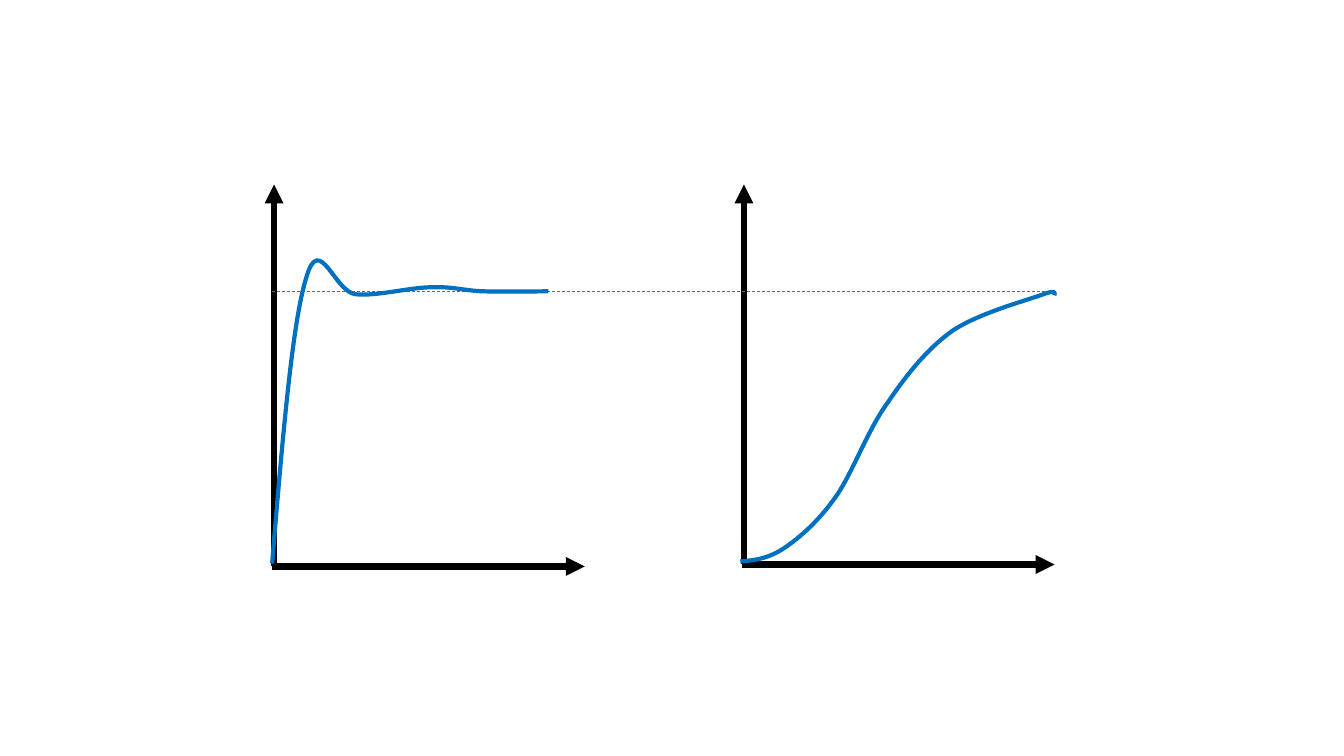
"""Build a slide with two step-response sketches sharing one target level."""
from lxml.etree import SubElement
from pptx import Presentation
from pptx.dml.color import RGBColor
from pptx.enum.dml import MSO_LINE
from pptx.enum.shapes import MSO_CONNECTOR, MSO_SHAPE
from pptx.oxml.ns import qn
from pptx.util import Pt

COLORS = {"panel": "FFFFFF", "axis": "000000", "target": "666666", "curve": "0070C0"}
LINE_FORMATS = {
    "panel": {"width": Pt(1)},
    "axis": {"width": Pt(4.5)},
    "target": {"width": Pt(0.5), "dash_style": MSO_LINE.DASH},
    "curve": {"width": Pt(3)},
}
TARGET_LEVEL = 208.1
AXIS_TOP = 131.8
AXIS_LENGTH = 223.5
AXIS_OVERLAP = 1.6
ORIGINS = [(195.8, 404.6), (531.4, 403.2)]

UNDERDAMPED = {
    "corners": [(194.4, 185.8), (391.7, 402.5)],
    "start": (194.4, 402.5),
    "segments": [
        [(201.6, 316.1), (208.8, 229.7), (218.9, 198)],
        [(228.2, 165.6), (239, 208.8), (254.2, 210.2)],
        [(269.3, 211.7), (293, 205.2), (308.2, 205.2)],
        [(323.3, 204.5), (332.6, 207.8), (345.6, 208.1)],
        [(359.3, 208.4), (389.5, 208.1), (389.5, 208.1)],
        [(391.7, 208.1)],
    ],
}
OVERDAMPED = {
    "corners": [(528.8, 208.1), (753.1, 401)],
    "start": (528.8, 401),
    "segments": [
        [(539.3, 400.3), (549.4, 398.9), (560.9, 391)],
        [(572.4, 383), (584.6, 372.2), (596.9, 355)],
        [(609.1, 337.7), (619.9, 306.7), (634.3, 287.3)],
        [(648, 267.1), (662.4, 249.1), (680.4, 236.2)],
        [(699.1, 223.9), (730.8, 215.3), (743, 211)],
        [(754.6, 206.6), (753.8, 208.8), (753.1, 211)],
    ],
}


def format_line(shape, role):
    """Colour and style the line of a shape and return its XML element."""
    shape.line.fill.solid()
    shape.line.fill.fore_color.rgb = RGBColor.from_string(COLORS[role])
    for name, value in LINE_FORMATS[role].items():
        setattr(shape.line, name, value)
    return shape._element.spPr.find(qn("a:ln"))


def add_panel(slide, left, top, width, height):
    """Add the plain panel behind both charts."""
    shape = slide.shapes.add_shape(
        MSO_SHAPE.RECTANGLE, Pt(left), Pt(top), Pt(width), Pt(height))
    shape.shadow.inherit = False
    shape.fill.solid()
    shape.fill.fore_color.rgb = RGBColor.from_string(COLORS["panel"])
    format_line(shape, "panel")


def add_line(slide, role, start, end, arrow=False):
    """Add a straight line, with an arrowhead at its end if wanted."""
    connector = slide.shapes.add_connector(
        MSO_CONNECTOR.STRAIGHT, *[Pt(value) for value in (*start, *end)])
    line = format_line(connector, role)
    if arrow:
        SubElement(line, qn("a:tailEnd"), type="triangle")
    SubElement(connector._element.spPr, qn("a:effectLst"))


def add_axes(slide, x, y):
    """Add a vertical and a horizontal arrow from one origin."""
    add_line(slide, "axis", (x, y), (x, AXIS_TOP), arrow=True)
    left = x - AXIS_OVERLAP
    add_line(slide, "axis", (left, y), (left + AXIS_LENGTH, y), arrow=True)


def add_curve(slide, corners, start, segments):
    """Add an open curve of cubic and straight segments within its box."""
    (left, top), (right, bottom) = corners
    builder = slide.shapes.build_freeform(Pt(left), Pt(top))
    builder.add_line_segments([(Pt(right), Pt(bottom))], close=False)
    shape = builder.convert_to_shape()
    shape.shadow.inherit = False
    shape.fill.background()
    format_line(shape, "curve")
    outline = next(shape._element.iter(qn("a:path")))
    for child in list(outline):
        outline.remove(child)
    commands = [("a:moveTo", [start])]
    commands += [
        ("a:cubicBezTo" if len(points) == 3 else "a:lnTo", points)
        for points in segments]
    for tag, points in commands:
        command = SubElement(outline, qn(tag))
        for x, y in points:
            SubElement(command, qn("a:pt"), x=str(Pt(x - left)), y=str(Pt(y - top)))


def main():
    """Build and save the slide."""
    presentation = Presentation()
    presentation.slide_width, presentation.slide_height = Pt(960), Pt(540)
    slide = presentation.slides.add_slide(presentation.slide_layouts[6])
    add_panel(slide, 98.6, 58.3, 720, 405.4)
    for x, y in ORIGINS:
        add_axes(slide, x, y)
    add_line(slide, "target", (194.4, TARGET_LEVEL), (748.8, TARGET_LEVEL))
    for curve in (UNDERDAMPED, OVERDAMPED):
        add_curve(slide, **curve)
    presentation.save("out.pptx")


if __name__ == "__main__":
    main()
